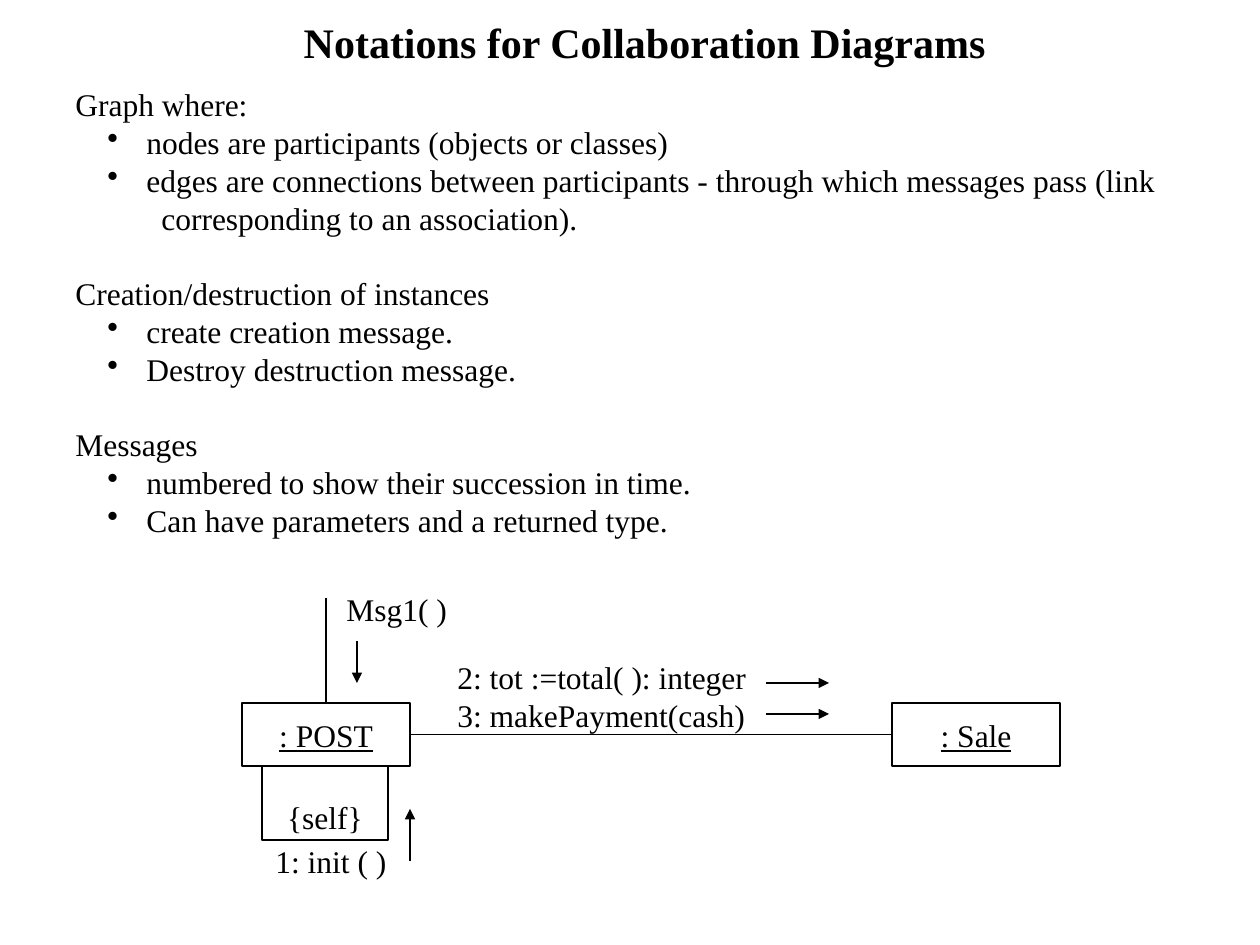
from dataclasses import dataclass

from lxml.etree import SubElement
from pptx import Presentation
from pptx.dml.color import RGBColor
from pptx.enum.shapes import MSO_CONNECTOR, MSO_SHAPE
from pptx.enum.text import MSO_ANCHOR, PP_ALIGN
from pptx.oxml.ns import qn
from pptx.util import Emu, Pt


@dataclass(frozen=True)
class Theme:
    ink: RGBColor = RGBColor(0, 0, 0)
    paper: RGBColor = RGBColor(255, 255, 255)
    font: str = "Times New Roman"
    title: int = 24
    body: int = 18
    line: float = 0.75
    lead: float = 1.2


THEME = Theme()
SCALE = 914400 / 126

HEAD, ITEM, MORE = "head", "item", "more"
NOTES = [
    (HEAD, "Graph where:"),
    (ITEM, "nodes are participants (objects or classes)"),
    (ITEM, "edges are connections between participants - through which messages pass (link"),
    (MORE, "corresponding to an association)."),
    (HEAD, "Creation/destruction of instances"),
    (ITEM, "create creation message."),
    (ITEM, "Destroy destruction message."),
    (HEAD, "Messages"),
    (ITEM, "numbered to show their succession in time."),
    (ITEM, "Can have parameters and a returned type."),
]
# Left margin and first-line indent in px
INDENTS = {ITEM: (71, -39), MORE: (86, 0)}


def px(n):
    return Emu(round(n * SCALE))


def write(para, text, size=THEME.body, bold=False, under=False,
          align=PP_ALIGN.LEFT, kind=HEAD, gap=0):
    """Fill one paragraph; kind selects its indent and bullet, gap is in points."""
    para.text = text
    para.alignment = align
    para.line_spacing = Pt(size * THEME.lead)
    para.space_before = Pt(gap)
    if kind in INDENTS:
        props = para._p.get_or_add_pPr()
        left, first = INDENTS[kind]
        props.set("marL", str(px(left)))
        props.set("indent", str(px(first)))
        if kind == ITEM:
            SubElement(props, qn("a:buChar"), char="•")
    font = para.font
    font.name, font.size = THEME.font, Pt(size)
    font.bold, font.underline = bold, under
    font.color.rgb = THEME.ink


def add_text(slide, x, y, w, h, lines, **style):
    frame = slide.shapes.add_textbox(px(x), px(y), px(w), px(h)).text_frame
    frame.word_wrap = True
    for i, text in enumerate(lines):
        write(frame.add_paragraph() if i else frame.paragraphs[0], text, **style)


def add_notes(slide, x, y, w, h):
    frame = slide.shapes.add_textbox(px(x), px(y), px(w), px(h)).text_frame
    frame.word_wrap = True
    for i, (kind, text) in enumerate(NOTES):
        para = frame.add_paragraph() if i else frame.paragraphs[0]
        gap = THEME.body * THEME.lead if i and kind == HEAD else 0
        write(para, text, kind=kind, gap=gap)


def add_box(slide, x, y, w, h, text, anchor=MSO_ANCHOR.MIDDLE, under=True):
    box = slide.shapes.add_shape(MSO_SHAPE.RECTANGLE, px(x), px(y), px(w), px(h))
    box.shadow.inherit = False
    box.fill.solid()
    box.fill.fore_color.rgb = THEME.paper
    box.line.color.rgb = THEME.ink
    box.line.width = Pt(THEME.line)
    frame = box.text_frame
    frame.vertical_anchor = anchor
    frame.margin_bottom = px(4 if anchor == MSO_ANCHOR.BOTTOM else 6)
    write(frame.paragraphs[0], text, under=under, align=PP_ALIGN.CENTER)
    return box


def add_line(slide, x1, y1, x2, y2, arrow=False):
    line = slide.shapes.add_connector(
        MSO_CONNECTOR.STRAIGHT, px(x1), px(y1), px(x2), px(y2))
    line.line.color.rgb = THEME.ink
    line.line.width = Pt(THEME.line)
    if arrow:
        SubElement(line.line._get_or_add_ln(), qn("a:tailEnd"), type="triangle")
    SubElement(line._element.spPr, qn("a:effectLst"))
    return line


def add_diagram(slide):
    add_box(slide, 262, 756, 126, 84, "{self}", anchor=MSO_ANCHOR.BOTTOM, under=False)
    post, sale = (add_box(slide, x, 703, 168, 63, text)
                  for x, text in ((242, ": POST"), (892, ": Sale")))

    call = add_line(slide, 326, 598, 326, 703)
    call.end_connect(post, 0)
    link = add_line(slide, 410, 735, 892, 735)
    link.begin_connect(post, 3)
    link.end_connect(sale, 1)

    add_text(slide, 334, 584, 140, 50, ["Msg1( )"])
    add_text(slide, 445, 652, 330, 88,
             ["2: tot :=total( ): integer", "3: makePayment(cash)"])
    add_text(slide, 263, 836, 150, 50, ["1: init ( )"])

    for ends in ((766, 683, 829, 683), (766, 714, 829, 714),
                 (357, 641, 357, 683), (410, 861, 410, 809)):
        add_line(slide, *ends, arrow=True)


def main():
    deck = Presentation()
    deck.slide_width, deck.slide_height = px(1260), px(945)
    slide = deck.slides.add_slide(deck.slide_layouts[6])
    add_text(slide, 281, 10, 727, 63, ["Notations for Collaboration Diagrams"],
             size=THEME.title, bold=True, align=PP_ALIGN.CENTER)
    add_notes(slide, 63, 79, 1124, 504)
    add_diagram(slide)
    deck.save("out.pptx")


if __name__ == "__main__":
    main()
